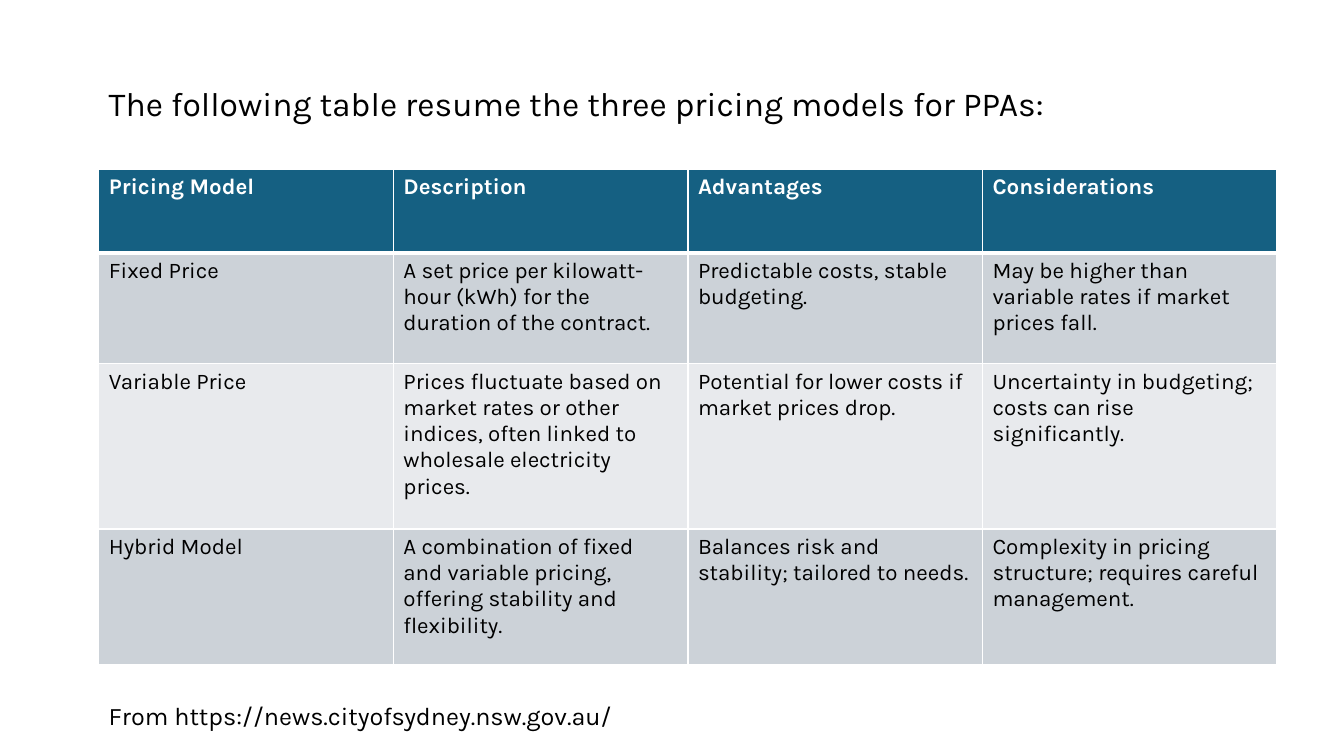
from lxml import etree
from pptx import Presentation
from pptx.dml.color import RGBColor
from pptx.enum import text
from pptx.oxml import ns
from pptx.util import Pt

FONT = "Karla"
WHITE, BLACK, HEADER_BLUE = "FFFFFF", "000000", "156082"
BANDS = ["CCD2D8", "E8EAED"]
LEFT = 70.6

PRICING = [
    ["Pricing Model", "Description", "Advantages", "Considerations"],
    ["Fixed Price",
     "A set price per kilowatt-hour (kWh) for the duration of the contract.",
     "Predictable costs, stable budgeting.",
     "May be higher than variable rates if market prices fall."],
    ["Variable Price",
     "Prices fluctuate based on market rates or other indices, "
     "often linked to wholesale electricity prices.",
     "Potential for lower costs if market prices drop.",
     "Uncertainty in budgeting; costs can rise significantly."],
    ["Hybrid Model",
     "A combination of fixed and variable pricing, offering stability and flexibility.",
     "Balances risk and stability; tailored to needs.",
     "Complexity in pricing structure; requires careful management."],
]
ROW_HEIGHTS = [59.5, 79.4, 117.9, 97]


def rgb(value):
    return RGBColor.from_string(value)


def style(paragraph, size, color, bold=False):
    font = paragraph.font
    font.name, font.size, font.bold = FONT, Pt(size), bold
    font.color.rgb = rgb(color)


def add_line(slide, box, words, size):
    frame = slide.shapes.add_textbox(*map(Pt, box)).text_frame
    frame.word_wrap = True
    frame.auto_size = text.MSO_AUTO_SIZE.SHAPE_TO_FIT_TEXT
    frame.text = words
    style(frame.paragraphs[0], size, BLACK)


def set_borders(cell, widths):
    """Draw white borders; widths maps each side to points."""
    properties = cell._tc.get_or_add_tcPr()
    for index, side in enumerate("LRTB"):
        line = etree.Element(ns.qn(f"a:ln{side}"), w=str(Pt(widths[side])))
        fill = etree.SubElement(line, ns.qn("a:solidFill"))
        etree.SubElement(fill, ns.qn("a:srgbClr"), val=WHITE)
        properties.insert(index, line)


def add_pricing_table(slide, box):
    table = slide.shapes.add_table(len(PRICING), len(PRICING[0]), *map(Pt, box)).table
    for column in table.columns:
        column.width = Pt(box[2] / len(PRICING[0]))
    for r, (entries, height) in enumerate(zip(PRICING, ROW_HEIGHTS)):
        table.rows[r].height = Pt(height)
        is_header = r == 0
        for c, entry in enumerate(entries):
            cell = table.cell(r, c)
            cell.text = entry
            style(cell.text_frame.paragraphs[0], 16,
                  WHITE if is_header else BLACK, is_header)
            cell.fill.solid()
            cell.fill.fore_color.rgb = rgb(HEADER_BLUE if is_header else BANDS[(r - 1) % 2])
            # The rule under the header is thicker than the others
            set_borders(cell, {"L": 1, "R": 1, "T": 3 if r == 1 else 1,
                               "B": 3 if is_header else 1})


def main():
    deck = Presentation()
    deck.slide_width, deck.slide_height = Pt(960), Pt(540)
    slide = deck.slides.add_slide(deck.slide_layouts[6])

    # Introduction, table and source
    add_line(slide, (LEFT, 55.8, 729.4, 36.3),
             "The following table resume the three pricing models for PPAs:", 24)
    add_pricing_table(slide, (LEFT, 121, 841.6, sum(ROW_HEIGHTS)))
    add_line(slide, (LEFT, 497, 729.4, 29.1),
             "From https://news.cityofsydney.nsw.gov.au/", 18)

    deck.save("out.pptx")


if __name__ == "__main__":
    main()
